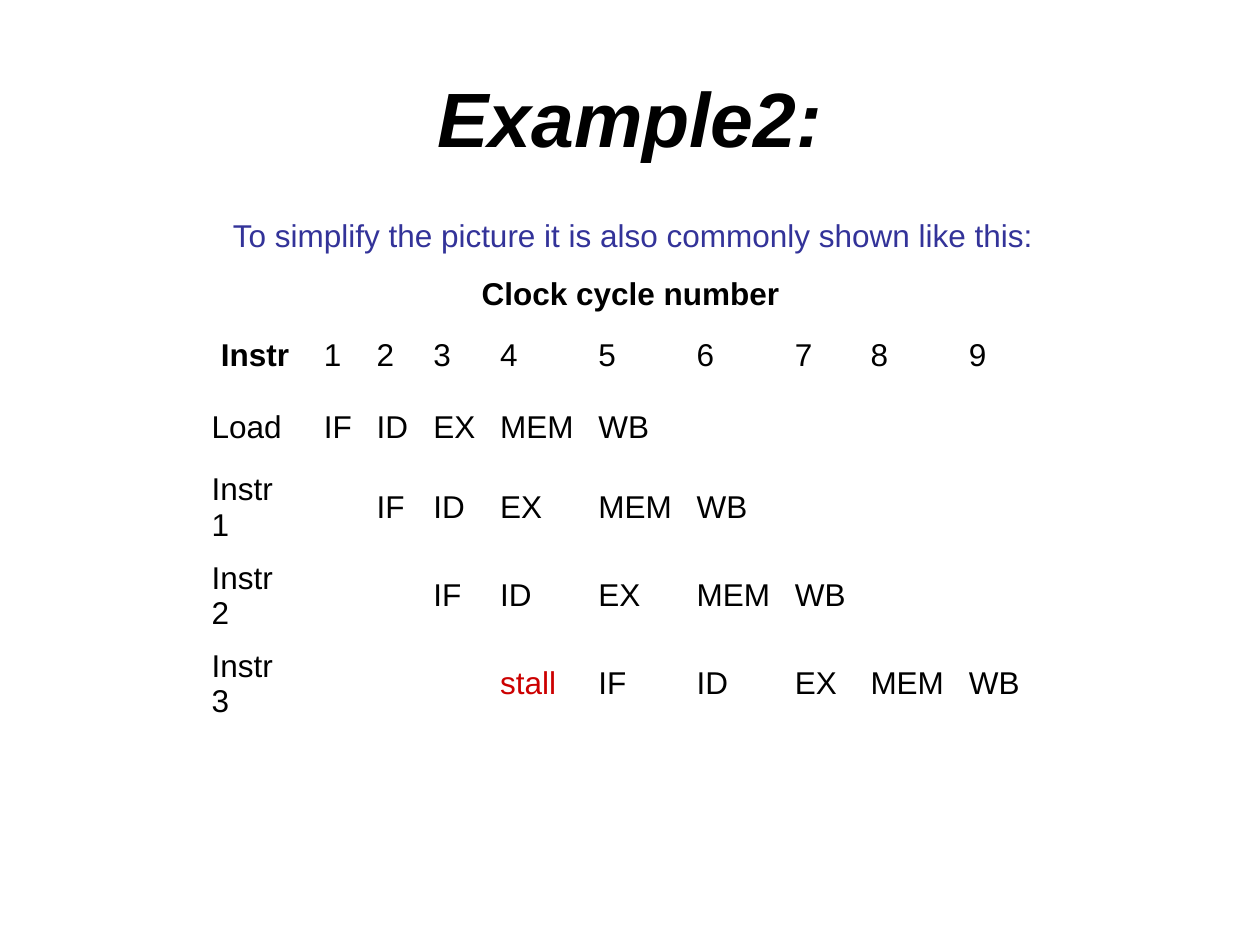
from pptx import Presentation
from pptx.dml.color import RGBColor
from pptx.enum.text import MSO_ANCHOR, PP_ALIGN
from pptx.util import Inches, Pt

SLIDE_WIDTH, SLIDE_HEIGHT = Inches(10), Inches(7.5)
BLACK = RGBColor(0x00, 0x00, 0x00)
BLUE = RGBColor(0x33, 0x33, 0x99)
RED = RGBColor(0xCC, 0x00, 0x00)
FONT = "Arial"

COLUMN_WIDTHS = [0.89, 0.42, 0.45, 0.53, 0.78, 0.78, 0.78, 0.6, 0.78, 0.6, 0.24]
ROW_HEIGHTS = [0.4, 0.57, 0.57, 0.7, 0.7, 0.7]
STAGES = ["IF", "ID", "EX", "MEM", "WB"]
# Instruction, first clock cycle, what happens from that cycle on
PIPELINE = [
    ("Load", 1, STAGES),
    ("Instr 1", 2, STAGES),
    ("Instr 2", 3, STAGES),
    ("Instr 3", 4, ["stall"] + STAGES),
]
CYCLES = 9


def write(frame, text, size=18, color=BLACK, bold=False, italic=False,
          align=PP_ALIGN.LEFT):
    paragraph = frame.paragraphs[0]
    paragraph.alignment = align
    run = paragraph.add_run()
    run.text = text
    font = run.font
    font.name, font.size = FONT, Pt(size)
    font.bold, font.italic = bold, italic
    font.color.rgb = color


def add_text(slide, left, top, width, height, text, wrap=True, **style):
    """Place a text box by shares of the slide's size."""
    box = slide.shapes.add_textbox(
        int(SLIDE_WIDTH * left), int(SLIDE_HEIGHT * top),
        int(SLIDE_WIDTH * width), int(SLIDE_HEIGHT * height))
    frame = box.text_frame
    frame.word_wrap = wrap
    frame.vertical_anchor = MSO_ANCHOR.MIDDLE
    write(frame, text, **style)


def add_plain_table(slide, left, top):
    """Add a table without banding or fills, sized by its columns and rows."""
    table = slide.shapes.add_table(
        len(ROW_HEIGHTS), len(COLUMN_WIDTHS),
        int(SLIDE_WIDTH * left), int(SLIDE_HEIGHT * top),
        Inches(sum(COLUMN_WIDTHS)), Inches(sum(ROW_HEIGHTS))).table
    table.first_row = table.horz_banding = False
    for column, width in zip(table.columns, COLUMN_WIDTHS):
        column.width = Inches(width)
    for row, height in zip(table.rows, ROW_HEIGHTS):
        row.height = Inches(height)
    for cell in table.iter_cells():
        cell.fill.background()
        cell.vertical_anchor = MSO_ANCHOR.MIDDLE
    return table


def write_cycle(cell, text, color=BLACK):
    """Write a left-aligned entry, with room for it to stay on one line."""
    cell.margin_right = Inches(0.05)
    write(cell.text_frame, text, color=color)


def fill_pipeline(table):
    heading = table.cell(0, 0)
    heading.merge(table.cell(0, len(COLUMN_WIDTHS) - 1))
    write(heading.text_frame, "Clock cycle number", bold=True, align=PP_ALIGN.CENTER)

    write(table.cell(1, 0).text_frame, "Instr", bold=True, align=PP_ALIGN.CENTER)
    for cycle in range(1, CYCLES + 1):
        write_cycle(table.cell(1, cycle), str(cycle))

    for row, (instruction, start, steps) in enumerate(PIPELINE, start=2):
        write(table.cell(row, 0).text_frame, instruction)
        for cycle, step in enumerate(steps, start=start):
            write_cycle(table.cell(row, cycle), step,
                        RED if step == "stall" else BLACK)


def main():
    deck = Presentation()
    deck.slide_width, deck.slide_height = SLIDE_WIDTH, SLIDE_HEIGHT
    slide = deck.slides.add_slide(deck.slide_layouts[6])
    add_text(slide, 0.05, 0.04, 0.9, 1 / 6, "Example2:", size=44,
             bold=True, italic=True, align=PP_ALIGN.CENTER)
    fill_pipeline(add_plain_table(slide, 0.158, 0.285))
    add_text(slide, 0.175, 0.222, 0.664, 0.053,
             "To simplify the picture it is also commonly shown like this:",
             wrap=False, color=BLUE)
    deck.save("out.pptx")


if __name__ == "__main__":
    main()
